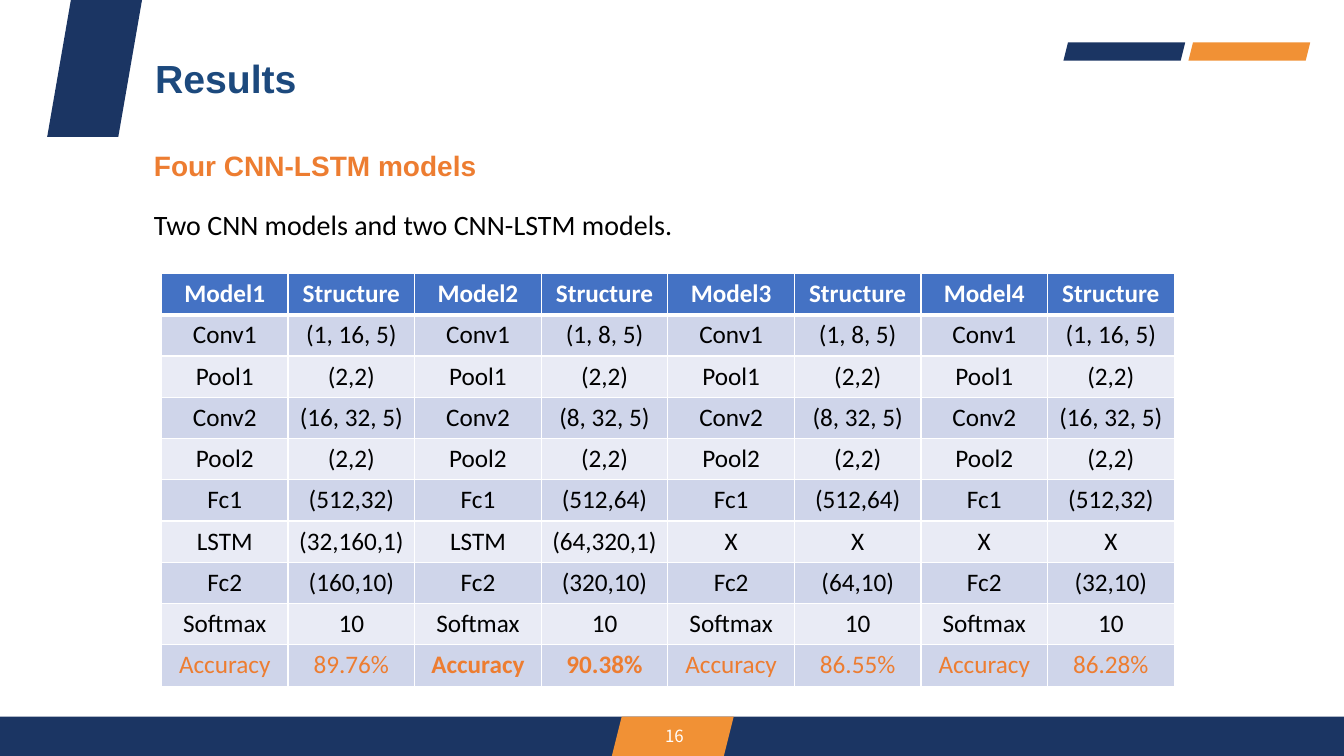
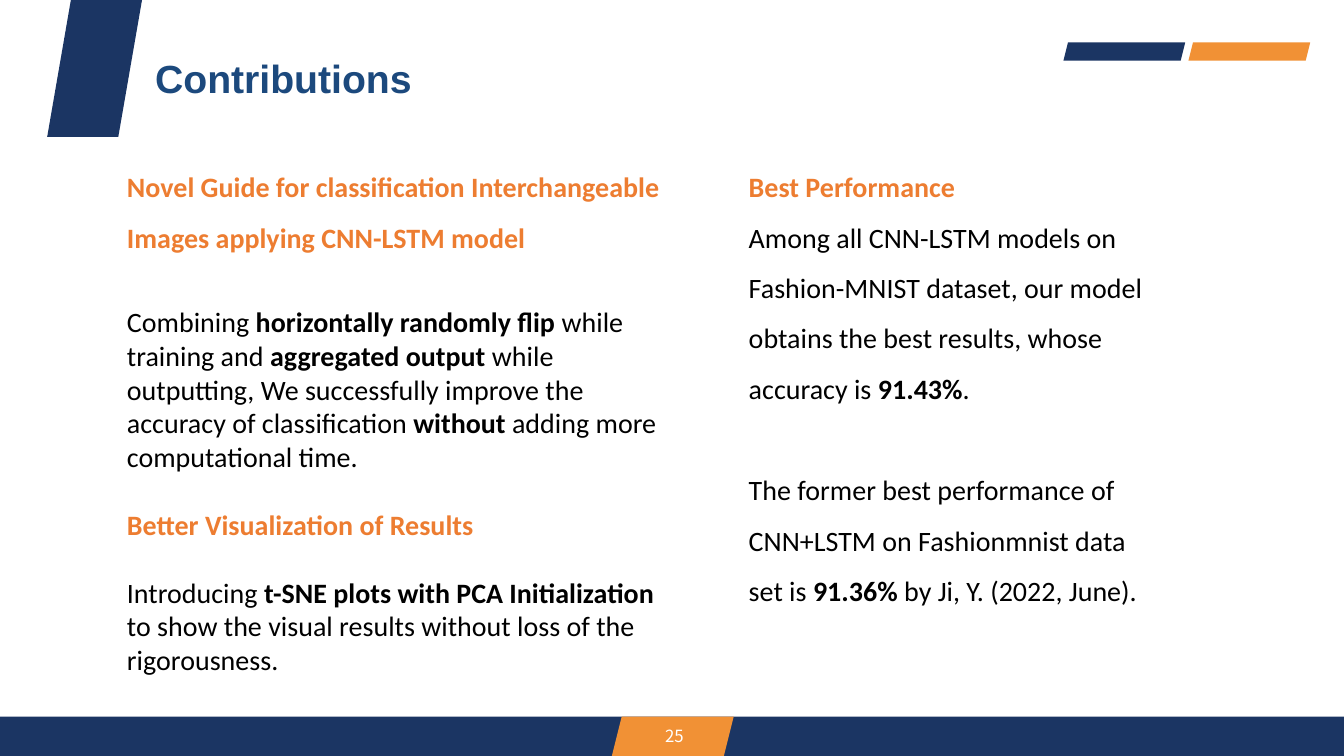
from lxml import etree
from pptx import Presentation
from pptx.dml.color import RGBColor
from pptx.enum.shapes import MSO_SHAPE
from pptx.enum.text import MSO_ANCHOR, PP_ALIGN
from pptx.oxml.ns import qn
from pptx.util import Cm, Pt

LEFT, MID, RIGHT = PP_ALIGN.LEFT, PP_ALIGN.CENTER, PP_ALIGN.RIGHT
TOP, MIDDLE = MSO_ANCHOR.TOP, MSO_ANCHOR.MIDDLE
RECT, SLANT = MSO_SHAPE.RECTANGLE, MSO_SHAPE.PARALLELOGRAM

NAVY = RGBColor(0x1B, 0x35, 0x63)
AMBER = RGBColor(0xF1, 0x91, 0x35)
TITLE = RGBColor(0x1C, 0x49, 0x7D)
ORANGE = RGBColor(0xED, 0x7D, 0x31)
BLUE = RGBColor(0x44, 0x72, 0xC4)
ODD = RGBColor(0xCF, 0xD5, 0xEA)
EVEN = RGBColor(0xE9, 0xEB, 0xF5)
WHITE = RGBColor(0xFF, 0xFF, 0xFF)
BLACK = RGBColor(0, 0, 0)

WIDE, HIGH = 33.87, 19.05

# Shared decoration: kind, left, top, width, height, colour
DECOR = [
    (RECT, 0, 18.06, WIDE, 0.99, NAVY),
    (SLANT, 26.8, 1.07, 3.07, 0.46, NAVY),
    (SLANT, 15.42, 18.06, 3.07, 0.99, AMBER),
    (SLANT, 1.19, 0, 2.39, 3.45, NAVY),
    (SLANT, 29.95, 1.07, 3.07, 0.46, AMBER),
]

# Text between asterisks is bold
MODELS = [
    ("Model1", "Structure", "Model2", "Structure",
     "Model3", "Structure", "Model4", "Structure"),
    ("Conv1", "(1, 16, 5)", "Conv1", "(1, 8, 5)",
     "Conv1", "(1, 8, 5)", "Conv1", "(1, 16, 5)"),
    ("Pool1", "(2,2)") * 4,
    ("Conv2", "(16, 32, 5)", "Conv2", "(8, 32, 5)",
     "Conv2", "(8, 32, 5)", "Conv2", "(16, 32, 5)"),
    ("Pool2", "(2,2)") * 4,
    ("Fc1", "(512,32)", "Fc1", "(512,64)",
     "Fc1", "(512,64)", "Fc1", "(512,32)"),
    ("LSTM", "(32,160,1)", "LSTM", "(64,320,1)", "X", "X", "X", "X"),
    ("Fc2", "(160,10)", "Fc2", "(320,10)",
     "Fc2", "(64,10)", "Fc2", "(32,10)"),
    ("Softmax", "10") * 4,
    ("Accuracy", "89.76%", "*Accuracy*", "*90.38%*",
     "Accuracy", "86.55%", "Accuracy", "86.28%"),
]

# Each paragraph: text, format
HEAD = {"color": ORANGE, "bold": True}
LOOSE = {"line": 1.5}
GUIDE = [
    ("Novel Guide for classification Interchangeable Images applying "
     "CNN-LSTM model", HEAD | LOOSE),
    ("Combining *horizontally randomly flip *while training and "
     "*aggregated output *while outputting, We successfully improve the "
     "accuracy of classification *without* adding more computational time.",
     {"before": 36.6}),
    ("Better Visualization of Results", HEAD | {"before": 24.4}),
    ("Introducing *t-SNE plots with PCA Initialization *to show the visual "
     "results without loss of the rigorousness.", {"before": 24.4}),
]
BEST = [
    ("Best Performance", HEAD | LOOSE),
    ("Among all CNN-LSTM models on Fashion-MNIST dataset, our model obtains "
     "the best results, whose accuracy is *91.43%*.", LOOSE),
    ("The former best performance of CNN+LSTM on Fashionmnist data set is "
     "*91.36%* by Ji, Y. (2022, June).", LOOSE | {"before": 36.6}),
]


def write(para, text, size=20, font="Calibri", color=BLACK, bold=False,
          align=LEFT, line=None, before=None):
    para.alignment = align
    if line:
        para.line_spacing = line
    if before:
        para.space_before = Pt(before)
    for i, part in enumerate(text.split("*")):
        if part:
            run = para.add_run()
            run.text = part
            face = run.font
            face.name, face.size = font, Pt(size)
            face.bold = bold or i % 2 == 1
            face.color.rgb = color


def add_box(slide, area, paras, anchor=TOP):
    frame = slide.shapes.add_textbox(*map(Cm, area)).text_frame
    frame.word_wrap = True
    frame.vertical_anchor = anchor
    for i, (text, style) in enumerate(paras):
        para = frame.add_paragraph() if i else frame.paragraphs[0]
        write(para, text, **style)


def add_page(deck, title, number):
    slide = deck.slides.add_slide(deck.slide_layouts[6])
    for kind, *area, color in DECOR:
        shape = slide.shapes.add_shape(kind, *map(Cm, area))
        shape.shadow.inherit = False
        shape.fill.solid()
        shape.fill.fore_color.rgb = color
        shape.line.fill.background()
    add_box(slide, (9.58, 18.03, 7.9, 1.02),
            [(number, {"size": 12, "font": "Noto Sans CJK SC",
                       "color": WHITE, "align": RIGHT})], MIDDLE)
    add_box(slide, (3.66, 1.24, 12.9, 1.45),
            [(title, {"size": 28, "font": "Arial", "color": TITLE,
                      "bold": True})])
    return slide


def set_edges(cell, row):
    props = cell._tc.get_or_add_tcPr()
    thick = {"lnT": row == 1, "lnB": row == 0}
    for side in ("lnL", "lnR", "lnT", "lnB"):
        width = Pt(3 if thick.get(side) else 1)
        edge = etree.SubElement(props, qn("a:" + side), w=str(width))
        fill = etree.SubElement(edge, qn("a:solidFill"))
        etree.SubElement(fill, qn("a:srgbClr"), val=str(WHITE))


def add_grid(slide, rows, left, top, wide, high):
    count = len(rows[0])
    grid = slide.shapes.add_table(
        len(rows), count, Cm(left), Cm(top),
        Cm(wide * count), Cm(high * len(rows))).table
    for col in grid.columns:
        col.width = Cm(wide)
    for r, texts in enumerate(rows):
        grid.rows[r].height = Cm(high)
        back = BLUE if r == 0 else ODD if r % 2 else EVEN
        ink = WHITE if r == 0 else ORANGE if r == len(rows) - 1 else BLACK
        for c, text in enumerate(texts):
            cell = grid.cell(r, c)
            set_edges(cell, r)
            cell.fill.solid()
            cell.fill.fore_color.rgb = back
            write(cell.text_frame.paragraphs[0], text, size=18, color=ink,
                  bold=r == 0, align=MID)


def main():
    deck = Presentation()
    deck.slide_width, deck.slide_height = Cm(WIDE), Cm(HIGH)

    # Model table
    slide = add_page(deck, "Results", "16")
    add_box(slide, (3.63, 3.61, 16.94, 1.12),
            [("Four CNN-LSTM models", HEAD | {"font": "Arial"})])
    add_box(slide, (3.63, 5.11, 26.39, 1.12),
            [("Two CNN models and two CNN-LSTM models.", {})])
    add_grid(slide, MODELS, 4.07, 6.89, 3.19, 1.04)

    # Two columns of contributions
    slide = add_page(deck, "Contributions", "25")
    add_box(slide, (18.62, 3.73, 10.64, 12.65), BEST)
    add_box(slide, (2.95, 3.73, 14.35, 14.35), GUIDE)

    deck.save("out.pptx")


if __name__ == "__main__":
    main()
